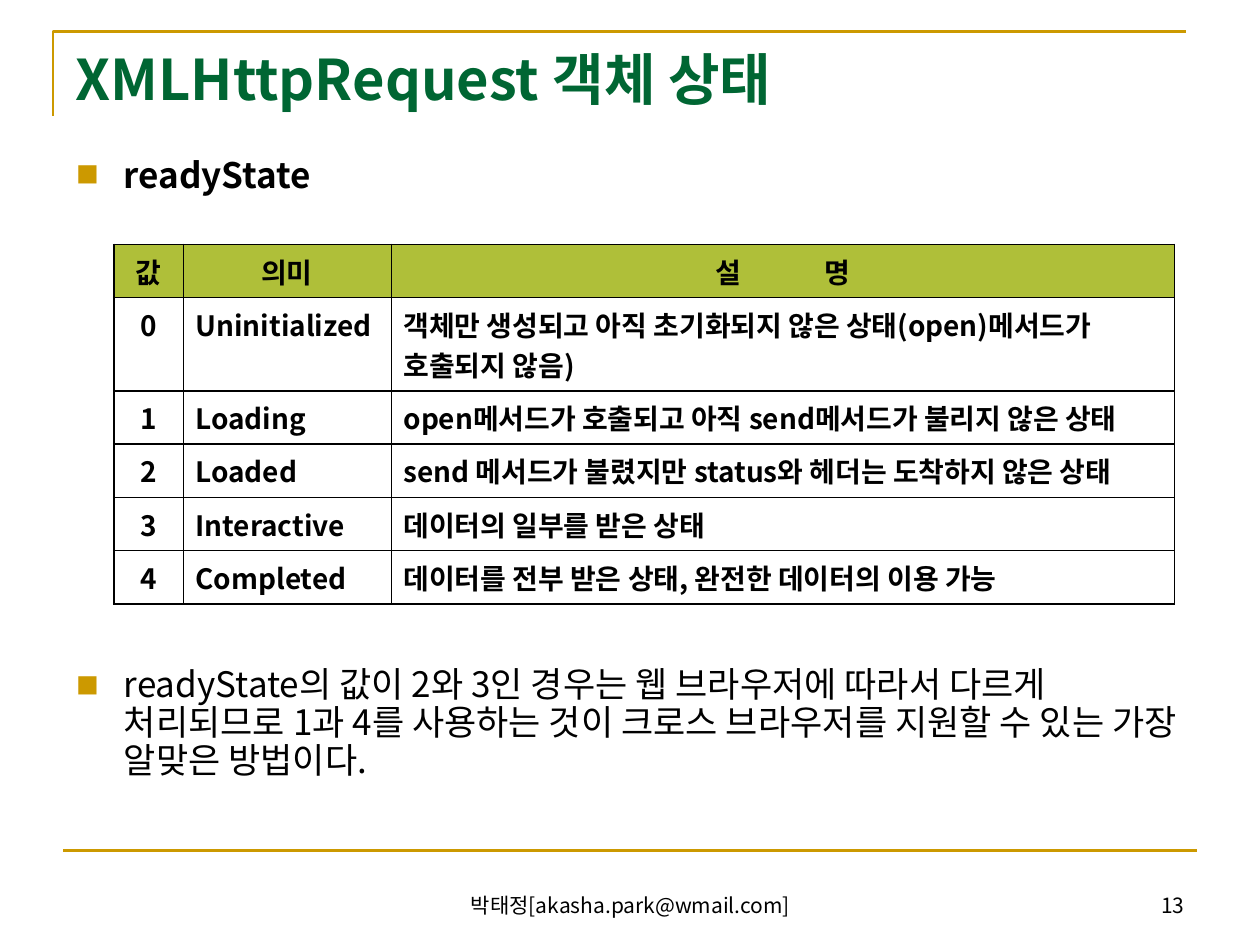
from lxml import etree
from pptx import Presentation
from pptx.dml.color import RGBColor
from pptx.enum.shapes import MSO_CONNECTOR
from pptx.enum.text import MSO_ANCHOR, PP_ALIGN
from pptx.oxml.ns import qn
from pptx.util import Pt

LEFT, CENTER, RIGHT = PP_ALIGN.LEFT, PP_ALIGN.CENTER, PP_ALIGN.RIGHT
TOP, BOTTOM = MSO_ANCHOR.TOP, MSO_ANCHOR.BOTTOM
STRAIGHT = MSO_CONNECTOR.STRAIGHT

FONT = "Noto Sans CJK KR"
COLORS = {"gold": "CC9900", "green": "006633", "black": "000000", "lime": "AFBF39"}
INDENT = 27
COLS = [39.6, 118.8, 447.84]
ROW, TALL = 30.4, 53.4
THICK, THIN = 1.08, 0.45
HEAD_GAP = 22  # letter spacing that spreads the last heading

HEADS = ["값", "의미", "설 명"]
STATES = [
    ("Uninitialized", "객체만 생성되고 아직 초기화되지 않은 상태(open)메서드가 호출되지 않음)"),
    ("Loading", "open메서드가 호출되고 아직 send메서드가 불리지 않은 상태"),
    ("Loaded", "send 메서드가 불렸지만 status와 헤더는 도착하지 않은 상태"),
    ("Interactive", "데이터의 일부를 받은 상태"),
    ("Completed", "데이터를 전부 받은 상태, 완전한 데이터의 이용 가능"),
]
NOTE = ("readyState의 값이 2와 3인 경우는 웹 브라우저에 따라서 다르게 처리되므로 "
        "1과 4를 사용하는 것이 크로스 브라우저를 지원할 수 있는 가장 알맞은 방법이다.")


def rgb(name):
    return RGBColor.from_string(COLORS[name])


def add_run(par, text, size, color="black", bold=False):
    run = par.add_run()
    run.text = text
    for key, value in {"size": Pt(size), "bold": bold, "name": FONT}.items():
        setattr(run.font, key, value)
    run.font.color.rgb = rgb(color)
    etree.SubElement(run.font._element, qn("a:ea"), typeface=FONT)
    return run


def add_text(slide, box, text, size, color="black", bold=False,
             align=LEFT, anchor=TOP):
    frame = slide.shapes.add_textbox(*map(Pt, box)).text_frame
    frame.word_wrap = True
    frame.vertical_anchor = anchor
    par = frame.paragraphs[0]
    par.alignment = align
    add_run(par, text, size, color, bold)
    return par


def add_bullet(par, spacing):
    props = par._p.get_or_add_pPr()
    props.set("marL", str(Pt(INDENT)))
    props.set("indent", str(-Pt(INDENT)))
    tint = etree.SubElement(props, qn("a:buClr"))
    etree.SubElement(tint, qn("a:srgbClr"), val=COLORS["gold"])
    etree.SubElement(props, qn("a:buSzPct"), val="65000")
    etree.SubElement(props, qn("a:buFont"), typeface=FONT)
    etree.SubElement(props, qn("a:buChar"), char="■")
    par.line_spacing = spacing


def style_line(shape):
    shape.line.color.rgb = rgb("gold")
    shape.line.width = Pt(1.5)


def add_frame(slide):
    # Corner line around the title
    path = slide.shapes.build_freeform(Pt(30.24), Pt(66.24))
    path.add_line_segments([(Pt(30.24), Pt(18)), (Pt(678), Pt(18))], close=False)
    corner = path.convert_to_shape()
    corner.shadow.inherit = False
    corner.fill.background()
    style_line(corner)
    # Rule above the footer
    rule = slide.shapes.add_connector(STRAIGHT, Pt(36), Pt(486), Pt(684), Pt(486))
    style_line(rule)
    etree.SubElement(rule._element.spPr, qn("a:effectLst"))


def add_edges(cell, col):
    last = len(COLS) - 1
    edges = {"lnL": THIN if col else THICK, "lnR": THICK if col == last else THIN,
             "lnT": THICK, "lnB": THICK}
    props = cell._tc.get_or_add_tcPr()
    for tag, width in edges.items():
        line = etree.SubElement(props, qn("a:" + tag), w=str(Pt(width)))
        fill = etree.SubElement(line, qn("a:solidFill"))
        etree.SubElement(fill, qn("a:srgbClr"), val=COLORS["black"])


def fill_cell(cell, text, row, col):
    add_edges(cell, col)
    if row == 0:
        cell.fill.solid()
        cell.fill.fore_color.rgb = rgb("lime")
    else:
        cell.fill.background()
    par = cell.text_frame.paragraphs[0]
    par.alignment = CENTER if row == 0 or col == 0 else LEFT
    if text == HEADS[-1]:
        wide = add_run(par, text[:-1], 16, bold=True)
        wide.font._element.set("spc", str(HEAD_GAP * 100))
        text = text[-1]
    add_run(par, text, 16, bold=True)


def add_states(slide):
    rows = [HEADS] + [(str(i), *state) for i, state in enumerate(STATES)]
    highs = [TALL if i == 1 else ROW for i in range(len(rows))]
    box = map(Pt, (65, 139.7, sum(COLS), sum(highs)))
    table = slide.shapes.add_table(len(rows), len(COLS), *box).table
    table.first_row = table.horz_banding = False
    for column, width in zip(table.columns, COLS):
        column.width = Pt(width)
    for r, (texts, high) in enumerate(zip(rows, highs)):
        table.rows[r].height = Pt(high)
        for c, text in enumerate(texts):
            fill_cell(table.cell(r, c), text, r, c)


def main():
    deck = Presentation()
    deck.slide_width, deck.slide_height = Pt(720), Pt(540)
    slide = deck.slides.add_slide(deck.slide_layouts[6])

    add_frame(slide)

    # Title and topic
    add_text(slide, (36, 21.6, 648, 90), "XMLHttpRequest 객체 상태", 32, "green", True)
    topic = add_text(slide, (36.72, 88.56, 652.32, 33.84), "readyState", 20, bold=True)
    add_bullet(topic, 0.8)

    # State table and advice
    add_states(slide)
    advice = add_text(slide, (36.72, 378, 648, 79.2), NOTE, 20)
    add_bullet(advice, 0.9)

    # Footer
    add_text(slide, (246.24, 491.76, 228.24, 36), "박태정[akasha.park@wmail.com]", 12,
             align=CENTER, anchor=BOTTOM)
    add_text(slide, (516.24, 491.76, 167.76, 36), "13", 12, align=RIGHT, anchor=BOTTOM)

    deck.save("out.pptx")


if __name__ == "__main__":
    main()
